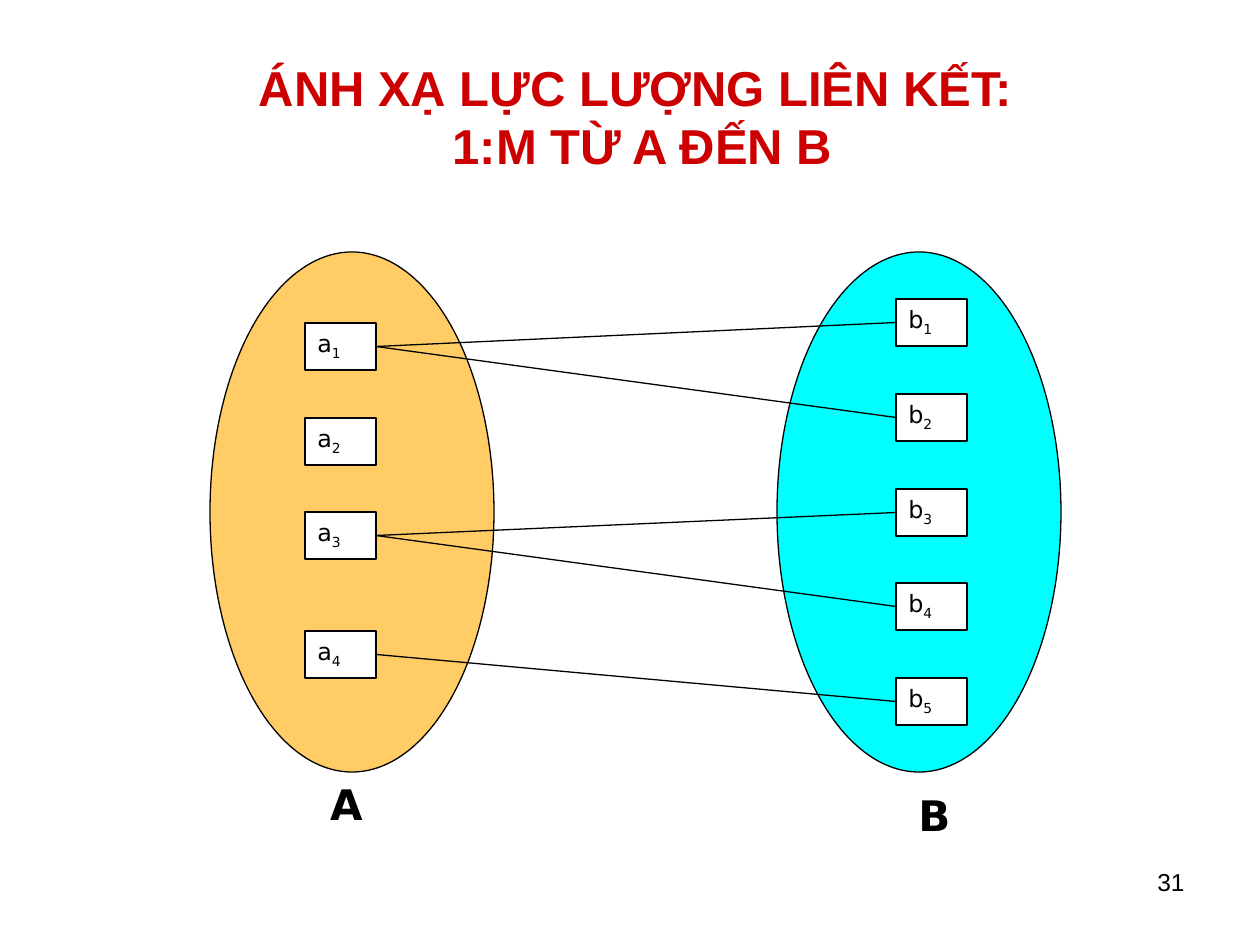
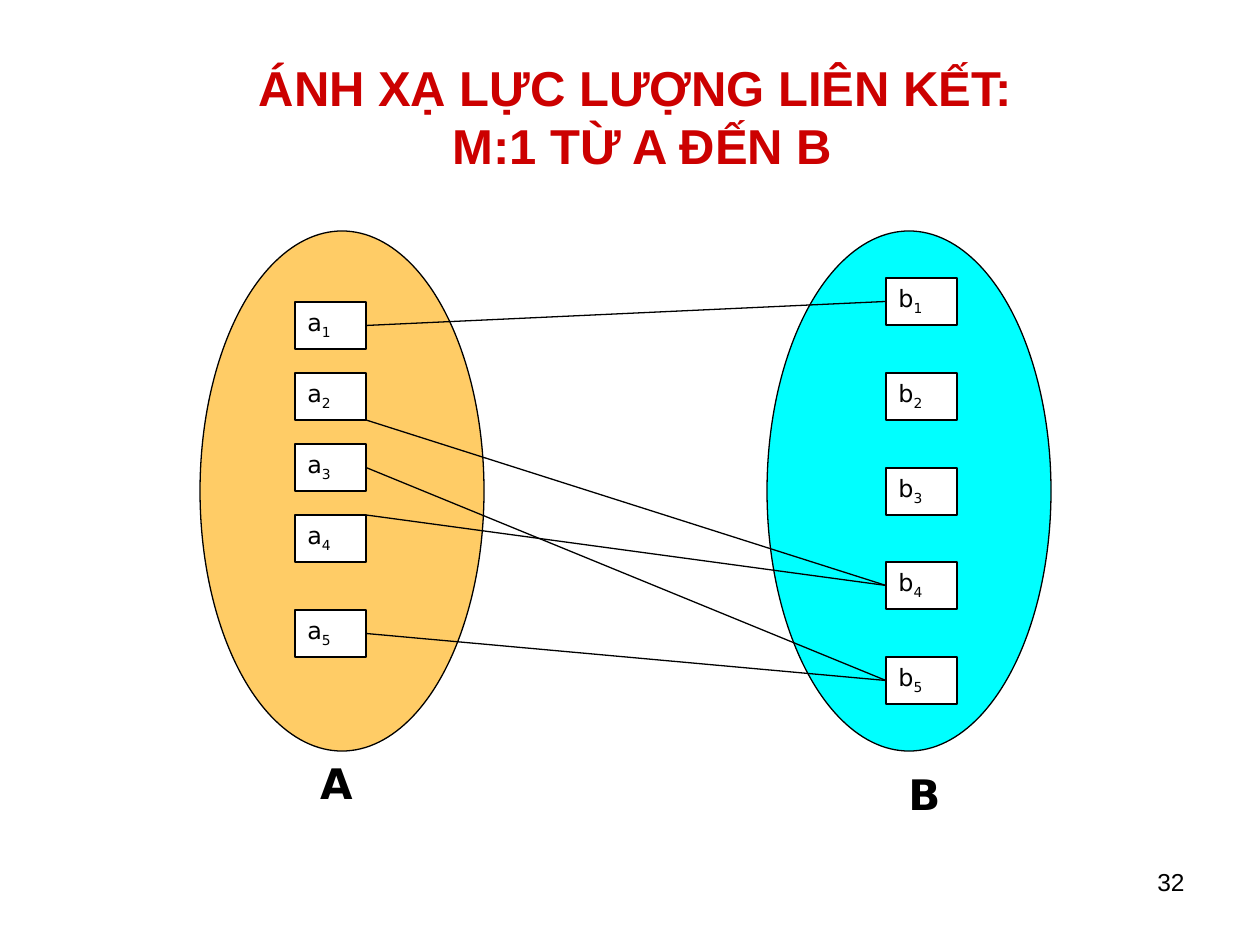
"""Build two slides that map the members of set A to the members of set B."""
from typing import NamedTuple

from lxml.etree import SubElement
from pptx import Presentation
from pptx.dml.color import RGBColor
from pptx.enum.shapes import MSO_CONNECTOR as Connector, MSO_SHAPE as Preset
from pptx.enum.text import MSO_ANCHOR as Anchor, MSO_AUTO_SIZE as AutoSize, PP_ALIGN as Align
from pptx.oxml.ns import qn
from pptx.shapes.autoshape import Shape
from pptx.slide import Slide
from pptx.text.text import _Paragraph as Paragraph
from pptx.util import Emu, Pt

RED = RGBColor(0xCC, 0x00, 0x00)
BLACK = RGBColor(0x00, 0x00, 0x00)
WHITE = RGBColor(0xFF, 0xFF, 0xFF)
ORANGE = RGBColor(0xFF, 0xCC, 0x66)
CYAN = RGBColor(0x00, 0xFF, 0xFF)

TITLE_FONT = "Arial"
DIAGRAM_FONT = "DejaVu Sans"
LINE_WIDTH = Pt(0.75)
TITLE_ONLY_LAYOUT = 5

PX_PER_INCH = 126
SLIDE_SIZE = (1260, 945)
OVAL_SIZE = (284, 520)
BOX_SIZE = (71, 47)
LABEL_SIZE = (63, 53)
ROWS_PER_BOX_WIDTH = 3

TOP, MIDDLE, BOTTOM = range(3)
LEFT_SITE, RIGHT_SITE = 1, 3


class EntitySet(NamedTuple):
    """Look of one set, with places measured from the top left of the diagram."""
    name: str
    color: RGBColor
    oval_left: int
    box_left: int
    label_left: int
    label_top: int


class Link(NamedTuple):
    """Line from a member of A to a member of B, leaving at a height of the A box."""
    a: int
    b: int
    start: int = MIDDLE


class Mapping(NamedTuple):
    """Content of one slide; rows are the grid rows of the member boxes."""
    ratio: str
    number: int
    left: int
    top: int
    a_rows: tuple[int, ...]
    links: tuple[Link, ...]


SET_A = EntitySet("A", ORANGE, 0, 95, 105, 525)
SET_B = EntitySet("B", CYAN, 567, 686, 693, 536)
B_ROWS = (2, 6, 10, 14, 18)

MAPPINGS = (
    Mapping("1:M", 31, 210, 252, (3, 7, 11, 16),
            (Link(1, 1), Link(1, 2), Link(3, 3), Link(3, 4), Link(4, 5))),
    Mapping("M:1", 32, 200, 231, (3, 6, 9, 12, 16),
            (Link(1, 1), Link(2, 4, BOTTOM), Link(3, 5), Link(4, 4, TOP), Link(5, 5))),
)


def px(*lengths: int) -> list[Emu]:
    """Turn pixel lengths into EMU."""
    return [Emu(round(length * 914400 / PX_PER_INCH)) for length in lengths]


def row_offset(row: int) -> int:
    """Return the distance of a grid row from the top of the diagram."""
    return round(row * BOX_SIZE[0] / ROWS_PER_BOX_WIDTH)


def set_font(paragraph: Paragraph, name: str, size: float,
             color: RGBColor = BLACK, bold: bool = False) -> None:
    """Format all runs of a paragraph alike."""
    font = paragraph.font
    font.name, font.size, font.bold = name, Pt(size), bold
    font.color.rgb = color


def add_title(slide: Slide, ratio: str) -> None:
    """Fill and place the title placeholder."""
    title = slide.shapes.title
    title.left, title.top, title.width, title.height = px(21, 32, 1229, 168)
    frame = title.text_frame
    frame.auto_size = AutoSize.NONE
    frame.vertical_anchor = Anchor.MIDDLE
    paragraph = frame.paragraphs[0]
    paragraph.text = f"ÁNH XẠ LỰC LƯỢNG LIÊN KẾT:\n {ratio} TỪ A ĐẾN B"
    paragraph.alignment = Align.CENTER
    set_font(paragraph, TITLE_FONT, 28, RED, bold=True)


def add_outlined(slide: Slide, preset: Preset, left: int, top: int,
                 size: tuple[int, int], color: RGBColor) -> Shape:
    """Draw a filled shape with a thin black outline."""
    shape = slide.shapes.add_shape(preset, *px(left, top, *size))
    shape.shadow.inherit = False
    shape.fill.solid()
    shape.fill.fore_color.rgb = color
    shape.line.color.rgb = BLACK
    shape.line.width = LINE_WIDTH
    return shape


def add_member(slide: Slide, left: int, top: int, letter: str, index: int) -> Shape:
    """Draw a member box with a subscript index."""
    box = add_outlined(slide, Preset.RECTANGLE, left, top, BOX_SIZE, WHITE)
    frame = box.text_frame
    frame.vertical_anchor = Anchor.TOP
    paragraph = frame.paragraphs[0]
    paragraph.alignment = Align.LEFT
    paragraph.line_spacing = 0.9
    set_font(paragraph, DIAGRAM_FONT, 13.6)
    paragraph.add_run().text = letter
    subscript = paragraph.add_run()
    subscript.text = str(index)
    subscript.font._element.set("baseline", "-25000")
    return box


def add_set(slide: Slide, entity_set: EntitySet, mapping: Mapping,
            rows: tuple[int, ...]) -> list[Shape]:
    """Draw the oval, the label and the members of a set, and return the members."""
    left, top = mapping.left, mapping.top
    add_outlined(slide, Preset.OVAL, left + entity_set.oval_left, top, OVAL_SIZE, entity_set.color)
    label = slide.shapes.add_textbox(
        *px(left + entity_set.label_left, top + entity_set.label_top, *LABEL_SIZE))
    frame = label.text_frame
    frame.word_wrap = False
    frame.vertical_anchor = Anchor.MIDDLE
    paragraph = frame.paragraphs[0]
    paragraph.text = entity_set.name
    paragraph.alignment = Align.CENTER
    set_font(paragraph, DIAGRAM_FONT, 24, bold=True)
    return [add_member(slide, left + entity_set.box_left, top + row_offset(row),
                       entity_set.name.lower(), index)
            for index, row in enumerate(rows, 1)]


def add_link(slide: Slide, source: Shape, target: Shape, start: int) -> None:
    """Join two members with a straight line."""
    connector = slide.shapes.add_connector(
        Connector.STRAIGHT, source.left + source.width, source.top + source.height * start // 2,
        target.left, target.top + target.height // 2)
    if start == MIDDLE:
        connector.begin_connect(source, RIGHT_SITE)
    connector.end_connect(target, LEFT_SITE)
    connector.line.color.rgb = BLACK
    connector.line.width = LINE_WIDTH
    SubElement(connector._element.spPr, qn("a:effectLst"))


def add_number(slide: Slide, number: int) -> None:
    """Write the slide number at the bottom right."""
    frame = slide.shapes.add_textbox(*px(903, 861, 294, 66)).text_frame
    frame.word_wrap = True
    paragraph = frame.paragraphs[0]
    paragraph.text = str(number)
    paragraph.alignment = Align.RIGHT
    set_font(paragraph, TITLE_FONT, 14)


def main() -> None:
    """Build and save the presentation."""
    presentation = Presentation()
    presentation.slide_width, presentation.slide_height = px(*SLIDE_SIZE)
    for mapping in MAPPINGS:
        slide = presentation.slides.add_slide(presentation.slide_layouts[TITLE_ONLY_LAYOUT])
        add_title(slide, mapping.ratio)
        a_boxes = add_set(slide, SET_A, mapping, mapping.a_rows)
        b_boxes = add_set(slide, SET_B, mapping, B_ROWS)
        for link in mapping.links:
            add_link(slide, a_boxes[link.a - 1], b_boxes[link.b - 1], link.start)
        add_number(slide, mapping.number)
    presentation.save("out.pptx")


if __name__ == "__main__":
    main()
